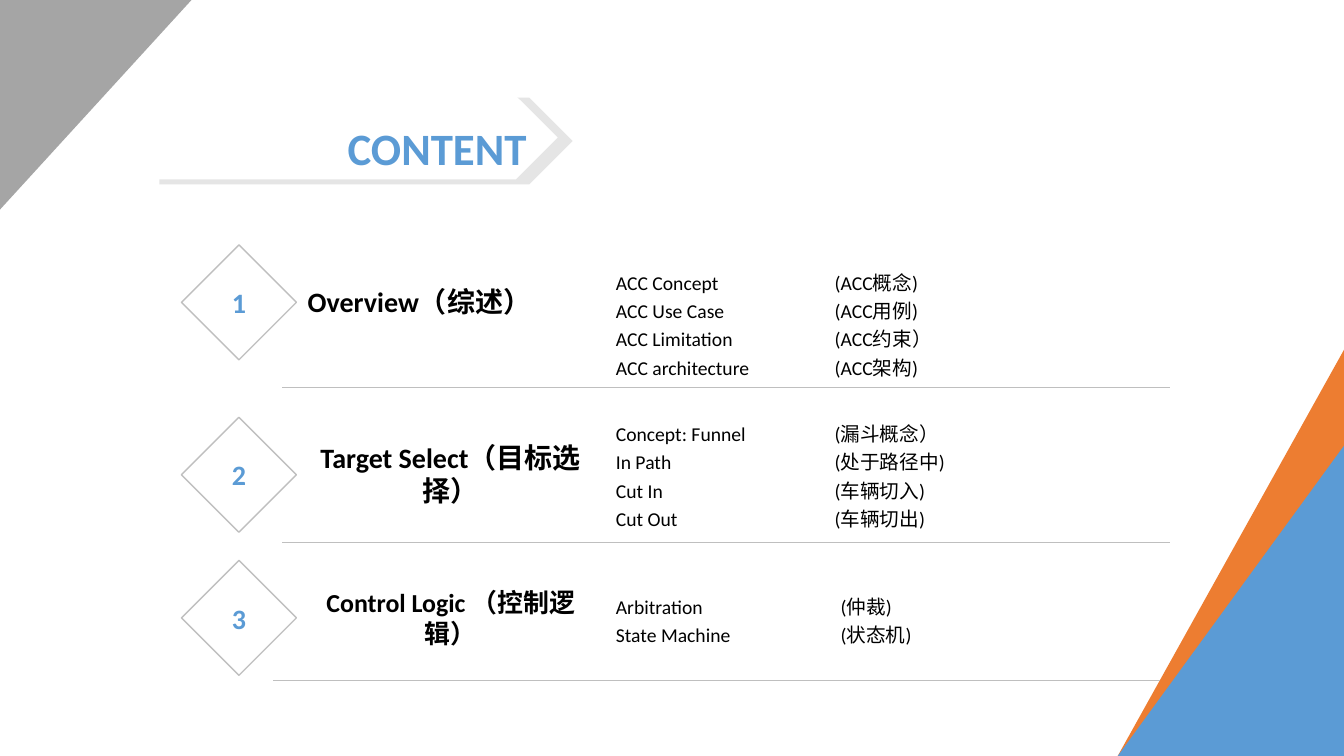
from dataclasses import dataclass

from lxml import etree
from pptx import Presentation
from pptx.dml.color import RGBColor
from pptx.enum import shapes, text
from pptx.oxml import ns
from pptx.util import Inches, Pt

COLORS = {
    "white": "FFFFFF", "black": "000000", "blue": "5B9BD5", "orange": "ED7D31",
    "gray": "A5A5A5", "edge": "BFBFBF", "shade": "E5E5E5",
}
FONT = "Calibri"
KIND = shapes.MSO_SHAPE
ALIGN = text.PP_ALIGN
ANCHOR = text.MSO_ANCHOR


@dataclass
class Topic:
    top: float
    title: str
    box: tuple[float, float]
    size: float
    list_top: float
    tab: float
    items: list[tuple[str, str]]
    rule: tuple[float, float]


TOPICS = [
    Topic(2.43, "Overview（综述）", (2.65, 2.46), 20, 2.86, 2.17,
          [("ACC Concept", "(ACC概念)"), ("ACC Use Case", "(ACC用例)"),
           ("ACC Limitation", "(ACC约束）"), ("ACC architecture", "(ACC架构)")],
          (2.8, 3.84)),
    Topic(4.14, "Target Select（目标选择）", (4.36, 3.08), 20, 4.36, 2.17,
          [("Concept: Funnel", "(漏斗概念）"), ("In Path", "(处于路径中)"),
           ("Cut In", "(车辆切入)"), ("Cut Out", "(车辆切出)")],
          (2.8, 5.38)),
    Topic(5.56, "Control Logic （控制逻辑）", (5.79, 3.08), 18.5, 5.79, 2.23,
          [("Arbitration", "(仲裁)"), ("State Machine", "(状态机)")],
          (2.71, 6.75)),
]


def color(name: str) -> RGBColor:
    return RGBColor.from_string(COLORS[name])


def paint(shape, fill: str, line: str = "") -> None:
    shape.shadow.inherit = False
    shape.fill.solid()
    shape.fill.fore_color.rgb = color(fill)
    if line:
        shape.line.color.rgb = color(line)
        shape.line.width = Pt(1)
    else:
        shape.line.fill.background()


def add_block(slide, kind, x: float, y: float, w: float, h: float,
              fill: str, line: str = "", flip: str = ""):
    shape = slide.shapes.add_shape(kind, Inches(x), Inches(y), Inches(w), Inches(h))
    paint(shape, fill, line)
    if flip:
        shape._element.spPr.xfrm.set(flip, "1")
    return shape


def style(para, size: float, tone: str, bold: bool, align) -> None:
    para.alignment = align
    para.font.name = FONT
    para.font.size = Pt(size)
    para.font.bold = bold
    para.font.color.rgb = color(tone)


def write(shape, words: str, size: float, tone: str, align, anchor) -> None:
    frame = shape.text_frame
    frame.word_wrap = True
    frame.vertical_anchor = anchor
    frame.text = words
    style(frame.paragraphs[0], size, tone, True, align)


def add_box(slide, x: float, y: float, w: float):
    return slide.shapes.add_textbox(Inches(x), Inches(y), Inches(w), Inches(0.68))


def add_tab(para, pos: float) -> None:
    tabs = etree.SubElement(para._p.get_or_add_pPr(), ns.qn("a:tabLst"))
    etree.SubElement(tabs, ns.qn("a:tab"), pos=str(Inches(pos)), algn="l")


def add_list(slide, topic: Topic) -> None:
    frame = add_box(slide, 6.01, topic.list_top, 6.64).text_frame
    frame.word_wrap = True
    frame.vertical_anchor = ANCHOR.MIDDLE
    frame.text = "\n".join(f"{name}\t{label}" for name, label in topic.items)
    for para in frame.paragraphs:
        style(para, 14, "black", False, ALIGN.LEFT)
        para.line_spacing = 1.2
        add_tab(para, topic.tab)


def add_rule(slide, x: float, y: float) -> None:
    rule = slide.shapes.add_connector(
        shapes.MSO_CONNECTOR.STRAIGHT, Inches(x), Inches(y), Inches(x + 8.8), Inches(y))
    rule.line.color.rgb = color("edge")
    rule.line.width = Pt(0.25)
    etree.SubElement(rule._element.spPr, ns.qn("a:effectLst"))


def add_topic(slide, num: int, topic: Topic) -> None:
    badge = add_block(slide, KIND.DIAMOND, 1.8, topic.top, 1.14, 1.14, "white", "edge")
    write(badge, str(num), 20, "blue", ALIGN.CENTER, ANCHOR.MIDDLE)
    add_list(slide, topic)
    top, width = topic.box
    head = add_box(slide, 2.93, top, width)
    write(head, topic.title, topic.size, "black", ALIGN.CENTER, ANCHOR.MIDDLE)


def add_decor(slide) -> None:
    pen = slide.shapes.build_freeform(Inches(13.33), Inches(3.47))
    pen.add_line_segments([(Inches(13.33), Inches(7.51)), (Inches(11.08), Inches(7.51))])
    paint(pen.convert_to_shape(), "orange")
    add_block(slide, KIND.RIGHT_TRIANGLE, 11.08, 4.41, 2.26, 3.1, "blue", flip="flipH")
    add_block(slide, KIND.RIGHT_TRIANGLE, 0, 0, 1.9, 2.08, "gray", flip="flipV")


def main() -> None:
    deck = Presentation()
    deck.slide_width, deck.slide_height = Inches(13.33), Inches(7.5)
    slide = deck.slides.add_slide(deck.slide_layouts[6])
    add_decor(slide)
    add_block(slide, KIND.PENTAGON, 1.58, 0.97, 4.1, 0.86, "shade")
    title = add_block(slide, KIND.PENTAGON, 1.55, 0.95, 3.98, 0.83, "white")
    write(title, "CONTENT", 32, "blue", ALIGN.RIGHT, ANCHOR.BOTTOM)
    for num, topic in enumerate(TOPICS, 1):
        add_topic(slide, num, topic)
    for topic in TOPICS:
        add_rule(slide, *topic.rule)
    deck.save("out.pptx")


if __name__ == "__main__":
    main()
